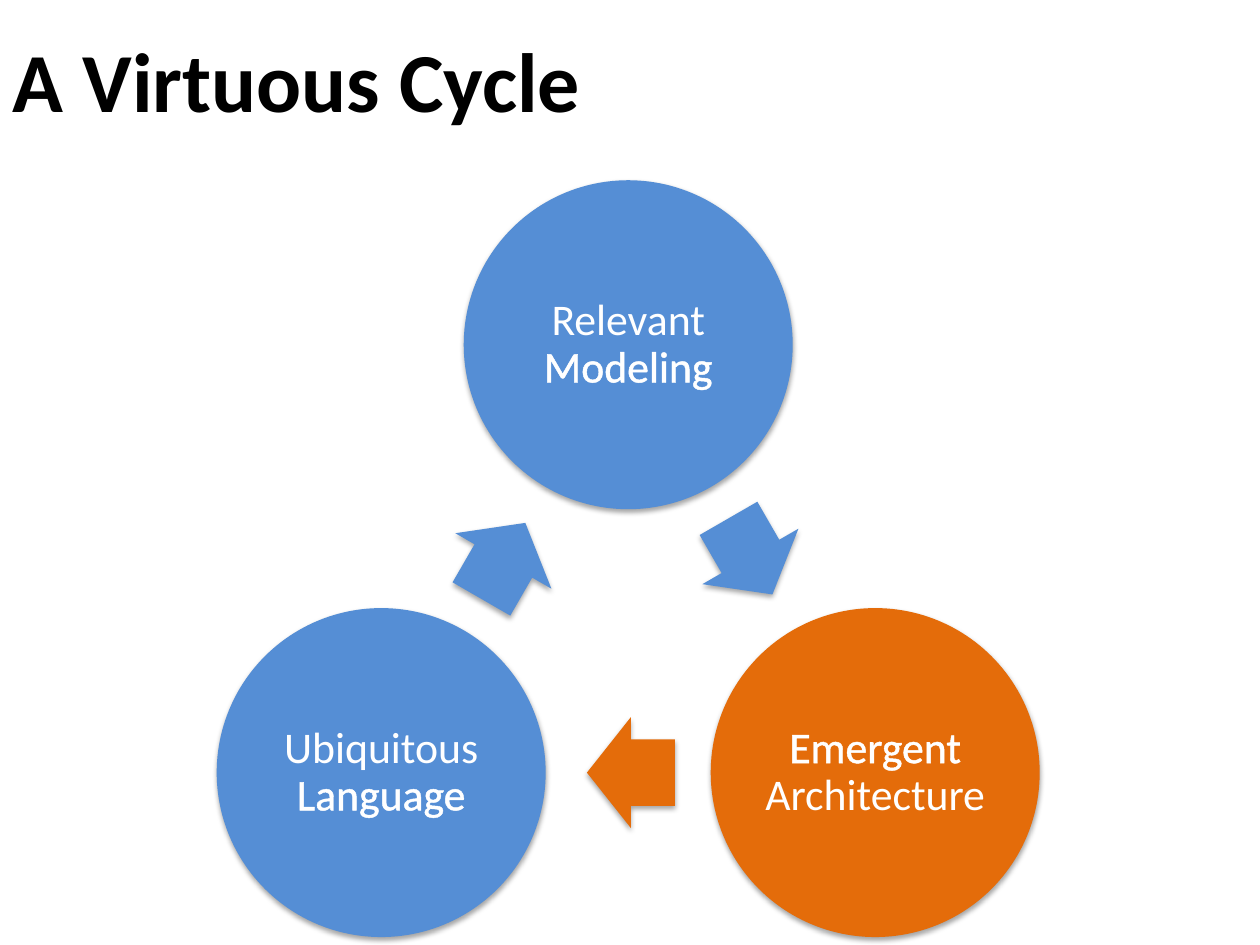
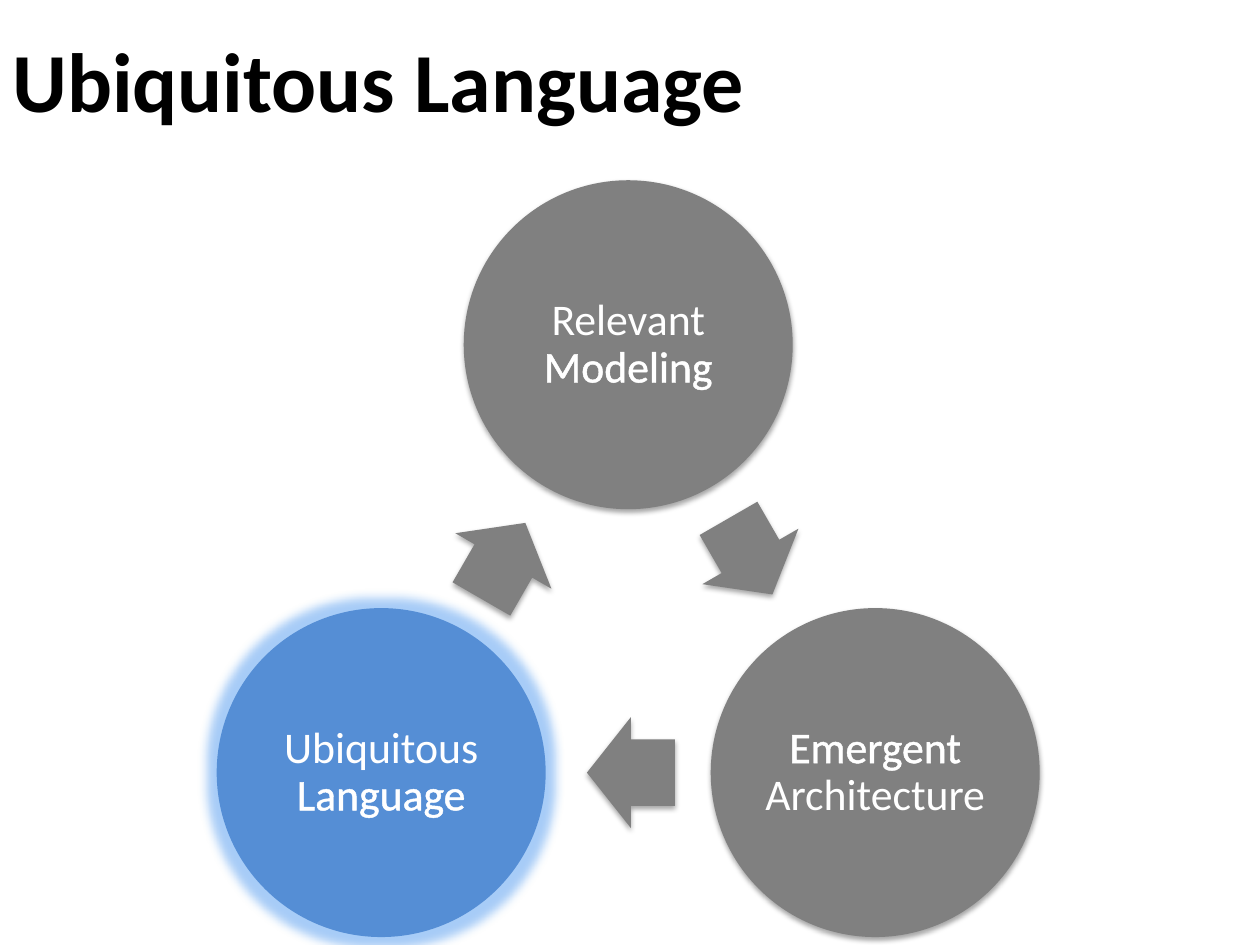
from dataclasses import dataclass
from math import cos, radians, sin

from lxml.etree import SubElement
from pptx import Presentation
from pptx.dml.color import RGBColor
from pptx.enum.shapes import MSO_SHAPE as Preset
from pptx.enum.text import MSO_ANCHOR as Anchor, MSO_AUTO_SIZE as AutoSize, PP_ALIGN as Align
from pptx.oxml.ns import qn
from pptx.util import Pt

# Shared look
FONT = "Calibri"
BLACK, WHITE = "000000", "FFFFFF"
BLUE, ORANGE, GRAY, GLOW = "558ED5", "E46C0A", "808080", "2580EB"

# Cycle geometry in points
CENTER_X, CENTER_Y = 359, 360
ORBIT = 163
DIAMETER = 188
ARROW_W, ARROW_H = 50.2, 63.4
ARROW_SETBACK = 1.5  # each arrow sits slightly behind the midpoint


@dataclass(frozen=True)
class Stage:
    first_word: str
    second_word: str
    outlined: int  # index of the word with an outline


@dataclass(frozen=True)
class CycleSlide:
    title: str
    colors: tuple[str, str, str]
    arrow_colors: tuple[str, str, str]
    glowing: int | None = None


STAGES = (
    Stage("Relevant", "Modeling", 1),
    Stage("Emergent", "Architecture", 0),
    Stage("Ubiquitous", "Language", 1),
)

SLIDES = (
    CycleSlide("A Virtuous Cycle", (BLUE, ORANGE, BLUE), (BLUE, ORANGE, BLUE)),
    CycleSlide("Ubiquitous Language", (GRAY, GRAY, BLUE), (GRAY, GRAY, GRAY), glowing=2),
)


def rgb(color: str) -> RGBColor:
    return RGBColor.from_string(color)


def style_font(font, size: float, color: str, bold: bool = False) -> None:
    font.name, font.size, font.bold = FONT, Pt(size), bold
    font.color.rgb = rgb(color)


def add_effect(shape, tag: str, color: str, alpha: int, **attributes: int) -> None:
    shape.shadow.inherit = False
    effects = shape.element.spPr.find(qn("a:effectLst"))
    effect = SubElement(effects, qn(tag), {key: str(value) for key, value in attributes.items()})
    tint = SubElement(effect, qn("a:srgbClr"), val=color)
    SubElement(tint, qn("a:alpha"), val=str(alpha * 1000))


def add_shadow(shape) -> None:
    add_effect(shape, "a:outerShdw", BLACK, 35, blurRad=Pt(3.1), dist=Pt(1.8),
               dir=90 * 60000, rotWithShape=0)


def add_glow(shape) -> None:
    add_effect(shape, "a:glow", GLOW, 40, rad=Pt(11))


def outline_text(run) -> None:
    properties = run.font._element
    line = SubElement(properties, qn("a:ln"), w=str(Pt(1.45)))
    fill = SubElement(line, qn("a:solidFill"))
    SubElement(fill, qn("a:srgbClr"), val=WHITE)
    properties.insert(0, line)


def add_centered(group, preset, x: float, y: float, width: float, height: float, color: str):
    shape = group.shapes.add_shape(
        preset, Pt(x - width / 2), Pt(y - height / 2), Pt(width), Pt(height))
    shape.fill.solid()
    shape.fill.fore_color.rgb = rgb(color)
    shape.line.fill.background()
    return shape


def add_title(slide, text: str) -> None:
    title = slide.shapes.title
    title.left, title.top, title.width, title.height = Pt(0), Pt(0), Pt(648), Pt(90)
    frame = title.text_frame
    frame.text = text
    frame.auto_size = AutoSize.NONE
    frame.vertical_anchor = Anchor.MIDDLE
    frame.paragraphs[0].alignment = Align.LEFT
    style_font(frame.paragraphs[0].runs[0].font, 48, BLACK, bold=True)


def add_stage(group, stage: Stage, angle: float, color: str, glowing: bool) -> None:
    x = CENTER_X + ORBIT * cos(radians(angle))
    y = CENTER_Y + ORBIT * sin(radians(angle))
    circle = add_centered(group, Preset.OVAL, x, y, DIAMETER, DIAMETER, color)
    if glowing:
        add_glow(circle)
    else:
        add_shadow(circle)

    frame = circle.text_frame
    frame.word_wrap = True
    frame.vertical_anchor = Anchor.MIDDLE
    frame.margin_left = frame.margin_right = frame.margin_top = frame.margin_bottom = Pt(2.2)
    label = frame.paragraphs[0]
    label.alignment = Align.CENTER
    label.line_spacing = 0.9
    for index, word in enumerate((f"{stage.first_word} ", stage.second_word)):
        run = label.add_run()
        run.text = word
        style_font(run.font, 25, WHITE)
        if index == stage.outlined:
            outline_text(run)


def add_arrow(group, angle: float, color: str) -> None:
    # The midpoint between two stages lies at half the orbit radius
    heading = angle + 90
    x = CENTER_X + ORBIT / 2 * cos(radians(angle)) - ARROW_SETBACK * cos(radians(heading))
    y = CENTER_Y + ORBIT / 2 * sin(radians(angle)) - ARROW_SETBACK * sin(radians(heading))
    arrow = add_centered(group, Preset.RIGHT_ARROW, x, y, ARROW_W, ARROW_H, color)
    arrow.adjustments[0], arrow.adjustments[1] = 0.6, 0.5
    arrow.rotation = heading
    add_shadow(arrow)


def add_cycle(slide, content: CycleSlide) -> None:
    cycle = slide.shapes.add_group_shape()
    step = 360 / len(STAGES)
    for index, stage in enumerate(STAGES):
        angle = -90 + index * step
        add_stage(cycle, stage, angle, content.colors[index], index == content.glowing)
        add_arrow(cycle, angle + step / 2, content.arrow_colors[index])


def main() -> None:
    deck = Presentation()
    deck.slide_width, deck.slide_height = Pt(720), Pt(540)
    title_only = deck.slide_layouts[5]
    for content in SLIDES:
        slide = deck.slides.add_slide(title_only)
        add_title(slide, content.title)
        add_cycle(slide, content)
    deck.save("out.pptx")


if __name__ == "__main__":
    main()
